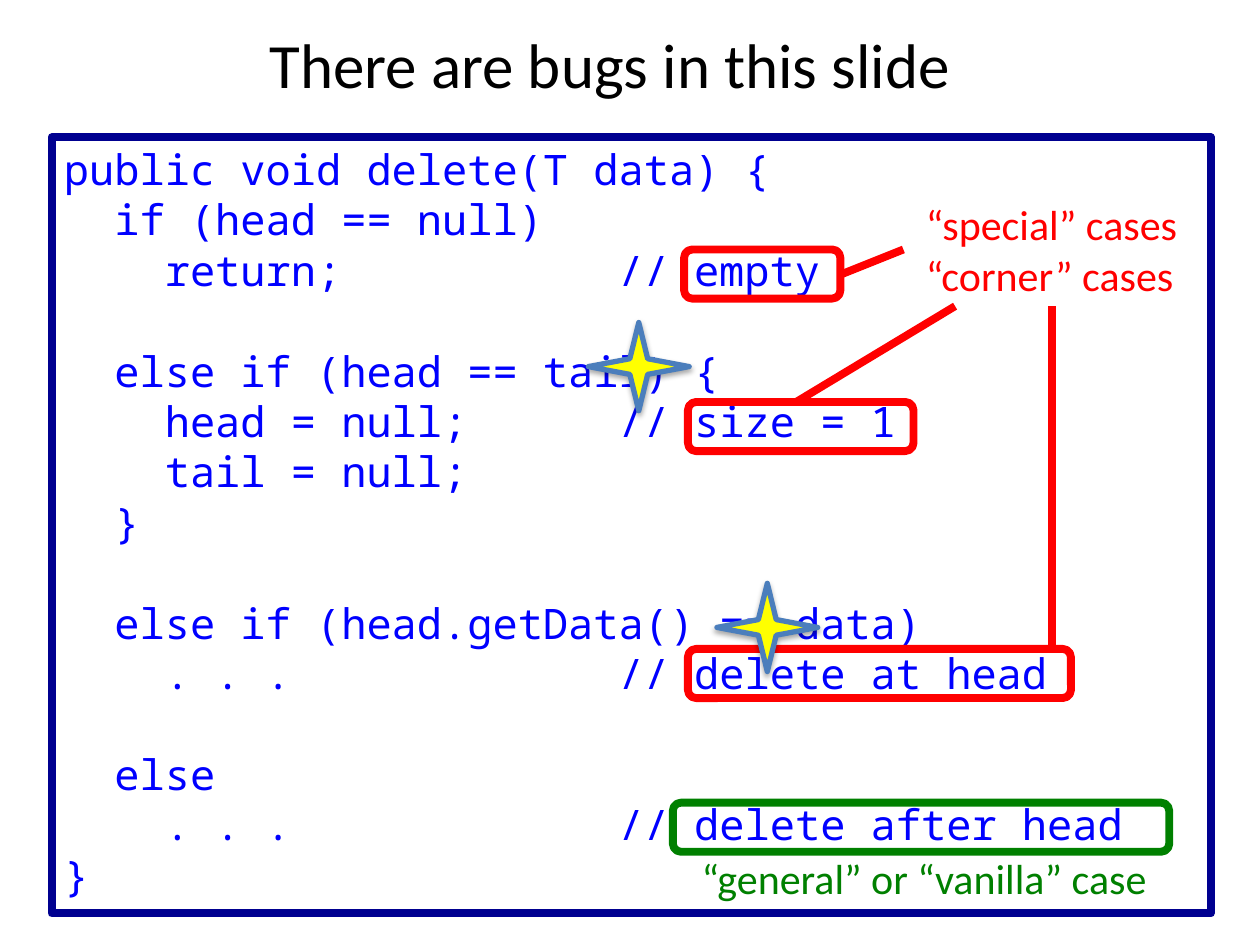
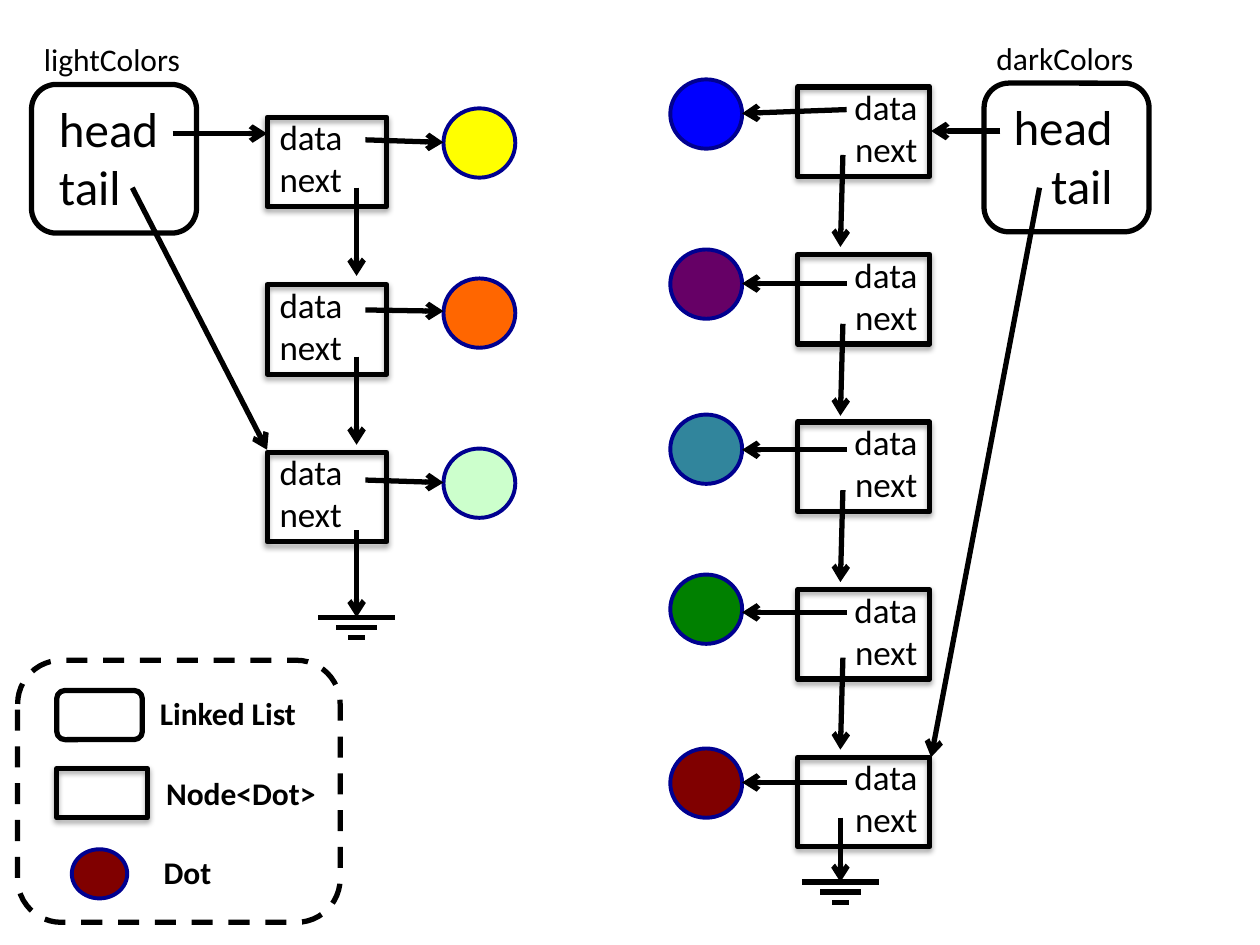
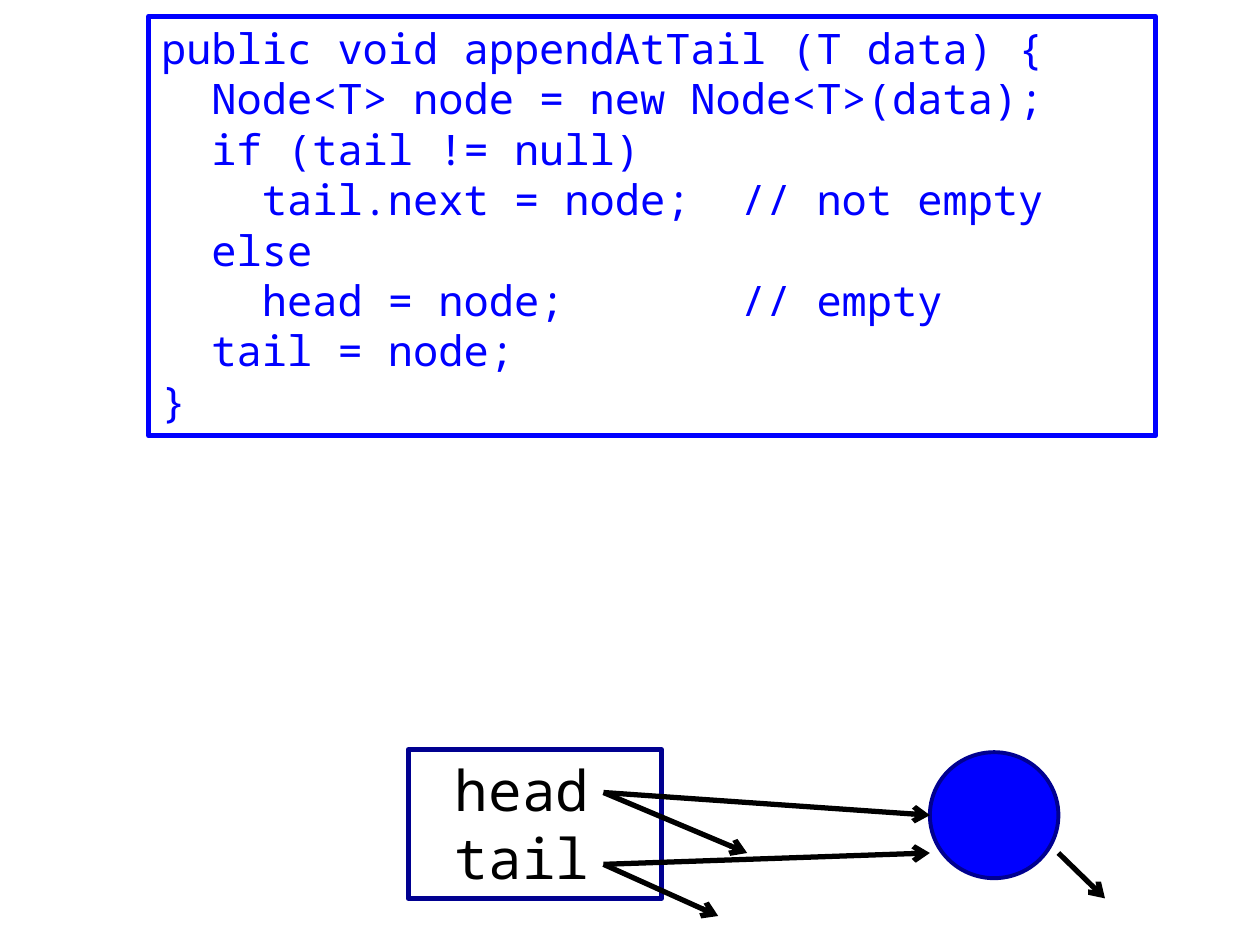
from lxml import etree
from pptx import Presentation
from pptx.dml.color import RGBColor
from pptx.enum.dml import MSO_LINE
from pptx.enum.shapes import MSO_CONNECTOR, MSO_SHAPE
from pptx.enum.text import MSO_ANCHOR, MSO_AUTO_SIZE, PP_ALIGN
from pptx.oxml.ns import qn
from pptx.util import Inches, Pt

RECT, ROUND = MSO_SHAPE.RECTANGLE, MSO_SHAPE.ROUNDED_RECTANGLE
OVAL, STAR = MSO_SHAPE.OVAL, MSO_SHAPE.STAR_4_POINT
STRAIGHT, DASH = MSO_CONNECTOR.STRAIGHT, MSO_LINE.DASH
LEFT, RIGHT = PP_ALIGN.LEFT, PP_ALIGN.RIGHT
TOP, FIT = MSO_ANCHOR.TOP, MSO_AUTO_SIZE.SHAPE_TO_FIT_TEXT

BLACK = RGBColor(0x00, 0x00, 0x00)
NAVY = RGBColor(0x00, 0x00, 0x90)
BLUE = RGBColor(0x00, 0x00, 0xFF)
RED = RGBColor(0xFF, 0x00, 0x00)
GREEN = RGBColor(0x00, 0x80, 0x00)
YELLOW = RGBColor(0xFF, 0xFF, 0x00)
STEEL = RGBColor(0x4B, 0x7E, 0xBC)
ORANGE = RGBColor(0xFF, 0x66, 0x00)
MINT = RGBColor(0xCC, 0xFF, 0xCC)
PURPLE = RGBColor(0x66, 0x00, 0x66)
TEAL = RGBColor(0x31, 0x85, 0x9C)
MAROON = RGBColor(0x80, 0x00, 0x00)

SANS, MONO = "Calibri", "Noto Sans Mono"

DELETE = """public void delete(T data) {
  if (head == null)
    return;\t\t\t\t  // empty

  else if (head == tail) {
    head = null;      // size = 1
    tail = null;
  }

  else if (head.getData() == data)
    . . .             // delete at head

  else
    . . .             // delete after head
}"""

APPEND = """public void appendAtTail (T data) {
  Node<T> node = new Node<T>(data);
  if (tail != null)
    tail.next = node;  // not empty
  else
    head = node;       // empty
  tail = node;
}"""

# Marked cases: left, top, width, colour
CASES = [
    (5.34, 6.37, 3.94, GREEN),
    (5.43, 1.98, 1.24, RED),
    (5.46, 3.19, 1.79, RED),
    (5.46, 5.15, 3.04, RED),
]
LINKS = [
    ((6.67, 2.18), (7.17, 1.98)),
    ((6.32, 3.19), (7.58, 2.43)),
    ((8.35, 5.15), (8.35, 2.43)),
]
STARS = [(4.67, 2.56), (5.69, 4.63)]

# Nodes: dot colour, dot top, data arrow start and end heights, next arrow top
LIGHT = [
    (YELLOW, 0.86, 1.11, 1.13, 1.49),
    (ORANGE, 2.21, 2.46, 2.47, 2.83),
    (MINT, 3.56, 3.81, 3.83, 4.21),
]
DARK = [
    (BLUE, 0.63, 0.87, 0.9, 1.23),
    (PURPLE, 1.98, 2.25, 2.25, 2.57),
    (TEAL, 3.29, 3.57, 3.57, 3.89),
    (GREEN, 4.56, 4.86, 4.86, 5.22),
    (MAROON, 5.94, 6.21, 6.21, 6.49),
]
STEP = 1.33
BARS = (0.61, 0.32, 0.13)

# Legend: kind, place of the symbol, label, place of the label
LEGEND = [
    (ROUND, (0.45, 5.48, 0.68, 0.39), "Linked List", (1.17, 5.46, 1.3, 0.4)),
    (RECT, (0.45, 6.1, 0.72, 0.39), "Node<Dot>", (1.22, 6.09, 1.4, 0.4)),
    (OVAL, (0.57, 6.74, 0.44, 0.39), "Dot", (1.2, 6.72, 0.58, 0.4)),
]

# Pointers on the last slide
ARROWS = [
    ((4.79, 6.29), (5.93, 6.77)),
    ((8.4, 6.77), (8.77, 7.13)),
    ((4.79, 6.86), (5.7, 7.27)),
    ((4.79, 6.29), (7.38, 6.47)),
    ((4.79, 6.86), (7.38, 6.77)),
]


def inch(nums):
    return [Inches(n) for n in nums]


def draw(slide, kind, at, line=BLACK, width=3, fill=None, shadow=False):
    shape = slide.shapes.add_shape(kind, *inch(at))
    if not shadow:
        shape.shadow.inherit = False
    if fill is None:
        shape.fill.background()
    else:
        shape.fill.solid()
        shape.fill.fore_color.rgb = fill
    shape.line.color.rgb = line
    shape.line.width = Pt(width)
    return shape


def write(slide, text, at, size=24, color=BLACK, font=SANS, bold=False,
          align=LEFT, box=None, inset=0.1):
    """Fill the given box with text, or a new unwrapped text box."""
    frame = (box or slide.shapes.add_textbox(*inch(at))).text_frame
    frame.word_wrap = box is not None
    frame.auto_size = FIT
    frame.vertical_anchor = TOP
    frame.margin_left = Inches(inset)
    for i, row in enumerate(text.split("\n")):
        para = frame.add_paragraph() if i else frame.paragraphs[0]
        para.alignment = align
        if row:
            run = para.add_run()
            run.text = row
            run.font.size = Pt(size)
            run.font.name = font
            run.font.bold = bold
            run.font.color.rgb = color
        else:
            end = etree.SubElement(para._p, qn("a:endParaRPr"), sz=str(size * 100))
            etree.SubElement(end, qn("a:latin"), typeface=font)


def code(slide, text, at, line, width=3, size=24, color=BLUE, inset=0.1):
    box = draw(slide, RECT, at, line, width)
    write(slide, text, at, size, color, MONO, box=box, inset=inset)


def link(slide, start, end, color=BLACK, width=3, arrow=False):
    line = slide.shapes.add_connector(STRAIGHT, *inch(start + end))
    line.line.color.rgb = color
    line.line.width = Pt(width)
    props = line._element.spPr
    if arrow:
        etree.SubElement(props.find(qn("a:ln")), qn("a:tailEnd"), type="arrow")
    etree.SubElement(props, qn("a:effectLst"))


def point(slide, start, end):
    link(slide, start, end, arrow=True)


def dot(slide, at, fill):
    draw(slide, OVAL, at, NAVY, 2.25, fill)


def ground(slide, mid, top):
    """Draw the sign for a null pointer."""
    for i, width in enumerate(BARS):
        y = top + 0.08 * i
        link(slide, (mid - width / 2, y), (mid + width / 2, y))


def owner(slide, name, left, top, align):
    """Draw a list object with its head and tail fields."""
    draw(slide, ROUND, (left, top, 1.31, 1.18))
    write(slide, name, (left, top - 0.4, 1.31, 0.4), size=18)
    write(slide, "head\ntail", (left + 0.12, top + 0.06, 1, 1.04), size=28, align=align)


def chain(slide, rows, left, top, width, label, align, ball, data, tip, stem, drop, end):
    """Draw nodes with their dots; the last next arrow stops at height end."""
    for i, (color, high, start, stop, low) in enumerate(rows):
        y = top + STEP * i
        draw(slide, RECT, (left, y, width, 0.71), shadow=True)
        write(slide, "data\nnext", (left, y - 0.06, label, 0.77), size=20, align=align)
        dot(slide, (ball, high, 0.57, 0.55), color)
        point(slide, (data, start), (tip, stop))
        last = i == len(rows) - 1
        foot = stem[1]
        head = foot if last else stem[0]
        point(slide, (head, low), (foot, end if last else low + drop))
    ground(slide, stem[1], end)


def bugs(slide):
    code(slide, DELETE, (0.41, 1.09, 9.2, 6.16), NAVY, 4.5)
    for left, top, width, color in CASES:
        draw(slide, ROUND, (left, top, width, 0.39), color, 4.5)
    write(slide, "“general” or “vanilla” case", (5.47, 6.72, 3.8, 0.5), color=GREEN)
    write(slide, "“special” cases\n“corner” cases", (7.25, 1.53, 2.23, 0.91), color=RED)
    for start, end in LINKS:
        link(slide, start, end, RED, 4.5)
    write(slide, "There are bugs in this slide", (2.04, 0.15, 5.67, 0.71), size=36)
    for left, top in STARS:
        draw(slide, STAR, (left, top, 0.8, 0.7), STEEL, 3, YELLOW, shadow=True)


def lists(slide):
    owner(slide, "lightColors", 0.25, 0.67, LEFT)
    chain(slide, LIGHT, left=2.12, top=0.93, width=0.95, label=0.71, align=LEFT,
          ball=3.52, data=2.9, tip=3.52, stem=(2.83, 2.83), drop=0.7, end=4.9)
    point(slide, (1.37, 1.06), (2.12, 1.06))
    point(slide, (1.05, 1.49), (2.12, 3.57))

    owner(slide, "darkColors", 7.81, 0.66, RIGHT)
    chain(slide, DARK, left=6.33, top=0.69, width=1.05, label=1.05, align=RIGHT,
          ball=5.32, data=6.72, tip=5.89, stem=(6.69, 6.67), drop=0.73, end=7)
    point(slide, (7.94, 1.04), (7.39, 1.04))
    point(slide, (8.25, 1.49), (7.39, 6.01))

    for kind, at, name, spot in LEGEND:
        if kind == OVAL:
            dot(slide, at, MAROON)
        else:
            draw(slide, kind, at, shadow=kind == RECT)
        write(slide, name, spot, size=18, bold=True)
    draw(slide, ROUND, (0.14, 5.24, 2.56, 2.08)).line.dash_style = DASH


def append(slide):
    code(slide, APPEND, (1.18, 0.13, 7.99, 3.33), BLUE)
    code(slide, "head\ntail", (3.24, 5.95, 2.01, 1.18), NAVY,
         size=32, color=BLACK, inset=0.37)
    dot(slide, (7.38, 5.97, 1.02, 1), BLUE)
    for start, end in ARROWS:
        point(slide, start, end)


def main():
    deck = Presentation()
    deck.slide_width, deck.slide_height = Inches(10), Inches(7.5)
    for build in (bugs, lists, append):
        build(deck.slides.add_slide(deck.slide_layouts[6]))
    deck.save("out.pptx")


if __name__ == "__main__":
    main()
